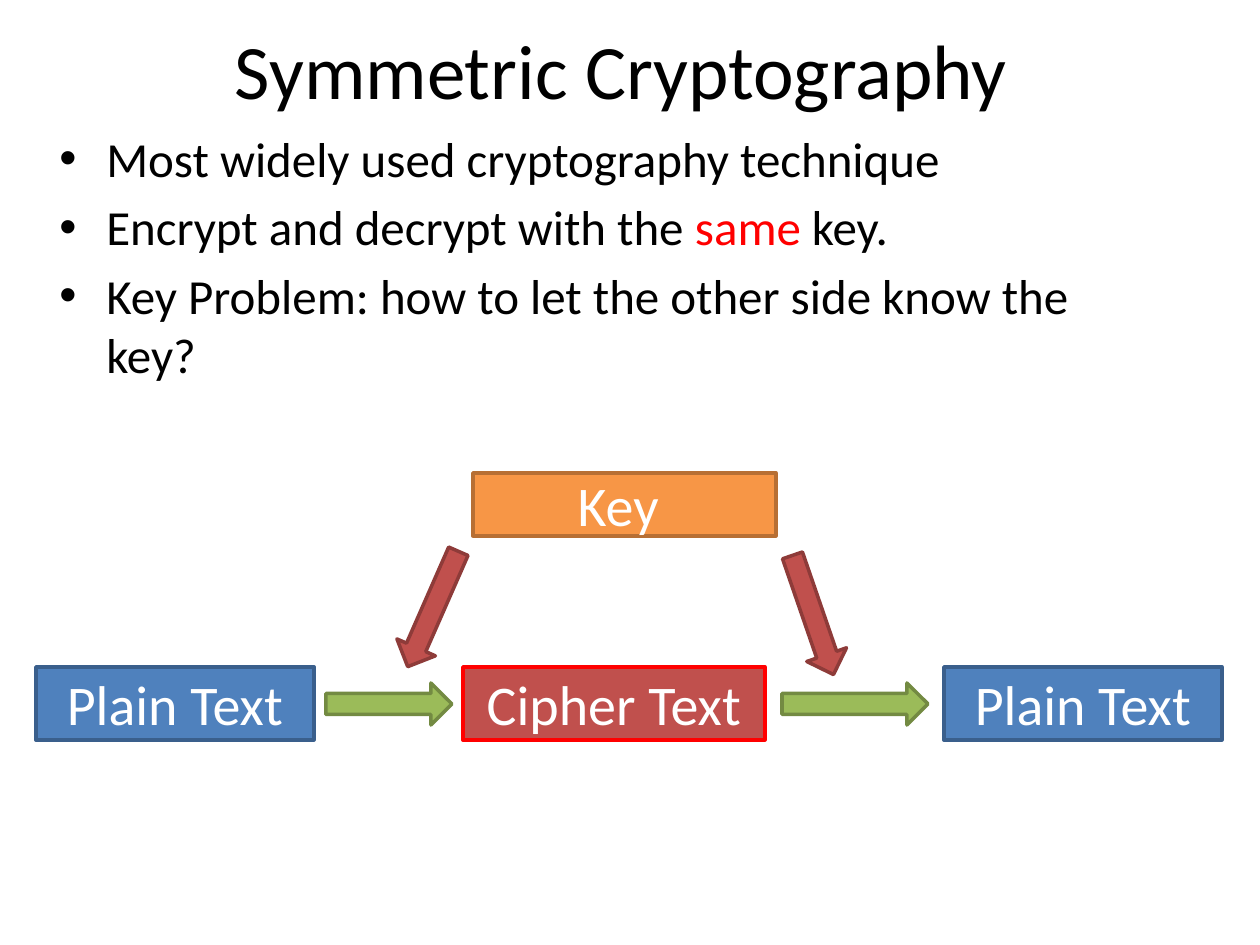
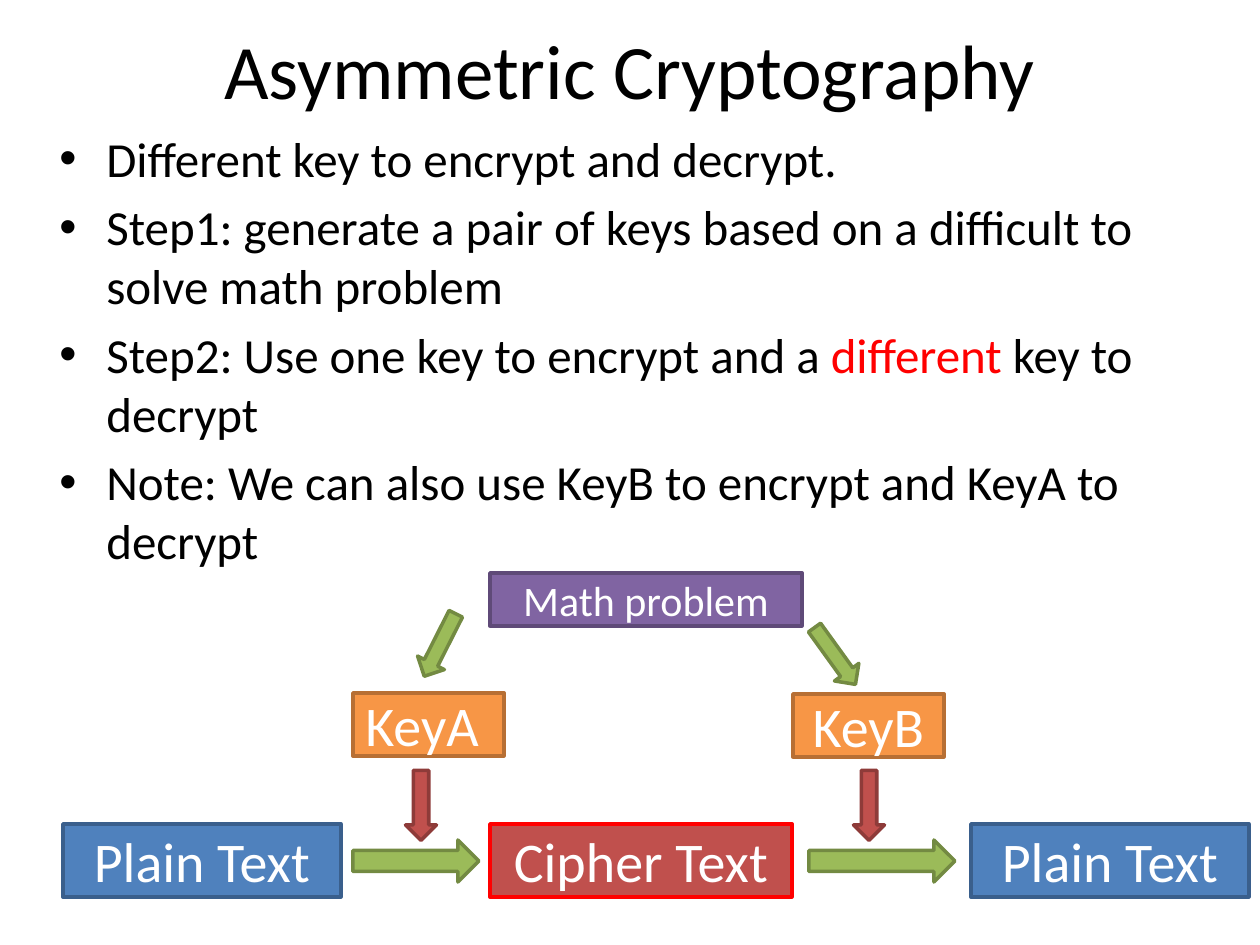
from lxml import etree
from pptx import Presentation
from pptx import util as u
from pptx.dml.color import RGBColor
from pptx.enum import shapes, text
from pptx.oxml import ns

PX = 914400 / 126
THEME = {
    "font": "Calibri",
    "ink": "000000",
    "accent": "FF0000",
    "label": "FFFFFF",
    "title_size": 44,
    "body_size": 28,
    "label_size": 32,
    "small_size": 24,
    # part: (fill, line)
    "plain": ("4F81BD", "3A5F8C"),
    "cipher": ("C0504D", "FF0000"),
    "key": ("F79646", "B76F34"),
    "problem": ("8064A2", "5F4A78"),
    "flow": ("9BBB59", "738A42"),
    "use": ("C0504D", "8E3B39"),
}
BOX, ARROW = shapes.MSO_SHAPE.RECTANGLE, shapes.MSO_SHAPE.RIGHT_ARROW

# Encryption row, measured from its top left corner: part, label, (x, y, w, h)
FLOW_ROW = [
    ("plain", "Plain Text", (0, 0, 278, 73)),
    ("flow", "", (290, 16, 126, 42)),
    ("cipher", "Cipher Text", (427, 0, 302, 73)),
    ("flow", "", (746, 16, 146, 42)),
    ("plain", "Plain Text", (908, 0, 278, 73)),
]

# Bullets are lists of (words, colour); key parts are (part, label, place, rotation)
SLIDES = [
    {
        "title": "Symmetric Cryptography ",
        "bullets": [
            [("Most widely used cryptography technique", "ink")],
            [("Encrypt and decrypt with the ", "ink"), ("same", "accent"), (" key.", "ink")],
            [("Key Problem: how to let the other side know the key?", "ink")],
        ],
        "row_at": (36, 667),
        "key_parts": [
            ("key", "Key ", (473, 473, 303, 63), 0),
            ("use", "", (370, 588, 126, 42), 113.7),
            ("use", "", (750, 594, 126, 42), 71),
        ],
    },
    {
        "title": "Asymmetric Cryptography",
        "bullets": [
            [("Different key to encrypt and decrypt.", "ink")],
            [("Step1: generate a pair of keys based on a difficult to solve math problem", "ink")],
            [("Step2: Use one key to encrypt and a ", "ink"), ("different", "accent"),
             (" key to decrypt", "ink")],
            [("Note: We can also use KeyB to encrypt and KeyA to decrypt", "ink")],
        ],
        "row_at": (63, 824),
        "key_parts": [
            ("key", "KeyA ", (353, 693, 151, 63), 0),
            ("use", "", (386, 790, 70, 31), 90),
            ("use", "", (834, 790, 70, 31), 90),
            ("key", "KeyB", (793, 694, 151, 63), 0),
            ("problem", "Math problem", (490, 573, 312, 53), 0),
            ("flow", "", (405, 630, 70, 30), 116.8),
            ("flow", "", (800, 641, 70, 30), 54.2),
        ],
    },
]


def px(*lengths):
    return [u.Emu(round(length * PX)) for length in lengths]


def style(font, size, colour):
    for name, value in {"name": THEME["font"], "size": u.Pt(size)}.items():
        setattr(font, name, value)
    font.color.rgb = RGBColor.from_string(THEME[colour])


prs = Presentation()
prs.slide_width, prs.slide_height = px(1260, 945)
title_only = prs.slide_layouts[5]

for content in SLIDES:
    slide = prs.slides.add_slide(title_only)

    title = slide.shapes.title
    title.left, title.top, title.width, title.height = px(63, -10, 1134, 157)
    title.text_frame.text = content["title"]
    title.text_frame.vertical_anchor = text.MSO_ANCHOR.MIDDLE
    heading = title.text_frame.paragraphs[0]
    heading.alignment = text.PP_ALIGN.CENTER
    style(heading.runs[0].font, THEME["title_size"], "ink")

    body = slide.shapes.add_textbox(*px(47, 122, 1130, 788)).text_frame
    body.word_wrap = True
    for number, pieces in enumerate(content["bullets"]):
        point = body.add_paragraph() if number else body.paragraphs[0]
        point.space_before = u.Pt(5.6 if number else 0)
        props = point._p.get_or_add_pPr()
        indent, = px(47)
        props.set("marL", str(indent))
        props.set("indent", str(-indent))
        etree.SubElement(props, ns.qn("a:buFont"), typeface="Arial")
        etree.SubElement(props, ns.qn("a:buChar"), char="•")
        for words, colour in pieces:
            run = point.add_run()
            run.text = words
            style(run.font, THEME["body_size"], colour)

    row_x, row_y = content["row_at"]
    flow_parts = [(part, label, (row_x + x, row_y + y, w, h), 0)
                  for part, label, (x, y, w, h) in FLOW_ROW]
    for part, label, place, rotation in flow_parts + content["key_parts"]:
        step = slide.shapes.add_shape(BOX if label else ARROW, *px(*place))
        fill, line = THEME[part]
        step.rotation = rotation
        step.shadow.inherit = False
        step.fill.solid()
        step.fill.fore_color.rgb = RGBColor.from_string(fill)
        step.line.color.rgb = RGBColor.from_string(line)
        step.line.width = u.Pt(2)
        if label:
            frame = step.text_frame
            frame.text = label
            frame.word_wrap = True
            frame.vertical_anchor = text.MSO_ANCHOR.MIDDLE
            frame.paragraphs[0].alignment = text.PP_ALIGN.CENTER
            size = THEME["small_size" if part == "problem" else "label_size"]
            style(frame.paragraphs[0].runs[0].font, size, "label")

prs.save("out.pptx")
